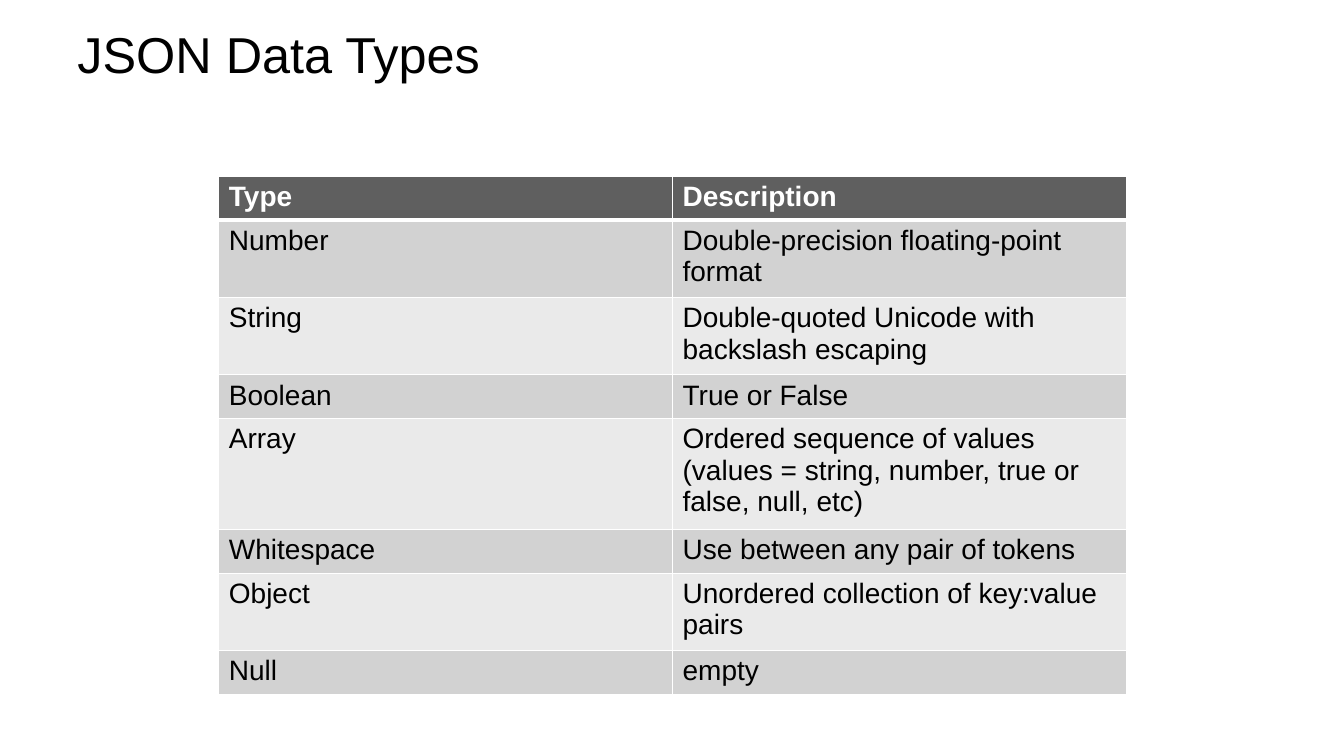
from lxml import etree
from pptx import Presentation
from pptx.dml.color import RGBColor
from pptx.enum.text import MSO_ANCHOR
from pptx.oxml.ns import qn
from pptx.util import Inches, Pt

MIDDLE = MSO_ANCHOR.MIDDLE
FONT = "Arial"
COLORS = {
    "text": "000000",
    "header_text": "FFFFFF",
    "header": "5F5F5F",
    "odd": "D2D2D2",
    "even": "EAEAEA",
    "border": "FFFFFF",
}
COL_W, ROW_H = 4.5, 0.41
THIN, THICK = 1, 3
DATA_TYPES = [
    ("Type", "Description"),
    ("Number", "Double-precision floating-point format"),
    ("String", "Double-quoted Unicode with backslash escaping"),
    ("Boolean", "True or False"),
    ("Array", "Ordered sequence of values (values = string, number, "
              "true or false, null, etc)"),
    ("Whitespace", "Use between any pair of tokens"),
    ("Object", "Unordered collection of key:value pairs"),
    ("Null", "empty"),
]


def rgb(name):
    return RGBColor.from_string(COLORS[name])


def add_run(p, text, size, color, bold=False):
    r = p.add_run()
    r.text = text
    r.font.name = FONT
    r.font.size = Pt(size)
    r.font.bold = bold
    r.font.color.rgb = rgb(color)


def add_title(s, text):
    box = s.shapes.add_textbox(Inches(0.67), Inches(0.21), Inches(12), Inches(0.64))
    tf = box.text_frame
    tf.word_wrap = True
    tf.vertical_anchor = MIDDLE
    add_run(tf.paragraphs[0], text, 36, "text")


def set_borders(cell, top, bottom):
    """Draw the four cell edges; call before the fill, which must follow them."""
    tc_pr = cell._tc.get_or_add_tcPr()
    widths = {"a:lnL": THIN, "a:lnR": THIN, "a:lnT": top, "a:lnB": bottom}
    for tag, width in widths.items():
        ln = etree.SubElement(tc_pr, qn(tag), w=str(Pt(width)))
        fill = etree.SubElement(ln, qn("a:solidFill"))
        etree.SubElement(fill, qn("a:srgbClr"), val=COLORS["border"])


def fill_cell(cell, text, row):
    is_header = row == 0
    set_borders(cell, THICK if row == 1 else THIN, THICK if is_header else THIN)
    band = "header" if is_header else ("even", "odd")[row % 2]
    cell.fill.solid()
    cell.fill.fore_color.rgb = rgb(band)
    color = "header_text" if is_header else "text"
    add_run(cell.text_frame.paragraphs[0], text, 20, color, is_header)


def add_type_table(s, rows):
    n_rows, n_cols = len(rows), len(rows[0])
    frame = s.shapes.add_table(n_rows, n_cols, Inches(2.17), Inches(1.75),
                               Inches(n_cols * COL_W), Inches(n_rows * ROW_H))
    for i, texts in enumerate(rows):
        for j, text in enumerate(texts):
            fill_cell(frame.table.cell(i, j), text, i)


def main():
    prs = Presentation()
    prs.slide_width, prs.slide_height = Inches(13.33), Inches(7.5)
    s = prs.slides.add_slide(prs.slide_layouts[6])
    add_title(s, "JSON Data Types")
    add_type_table(s, DATA_TYPES)
    prs.save("out.pptx")


if __name__ == "__main__":
    main()
